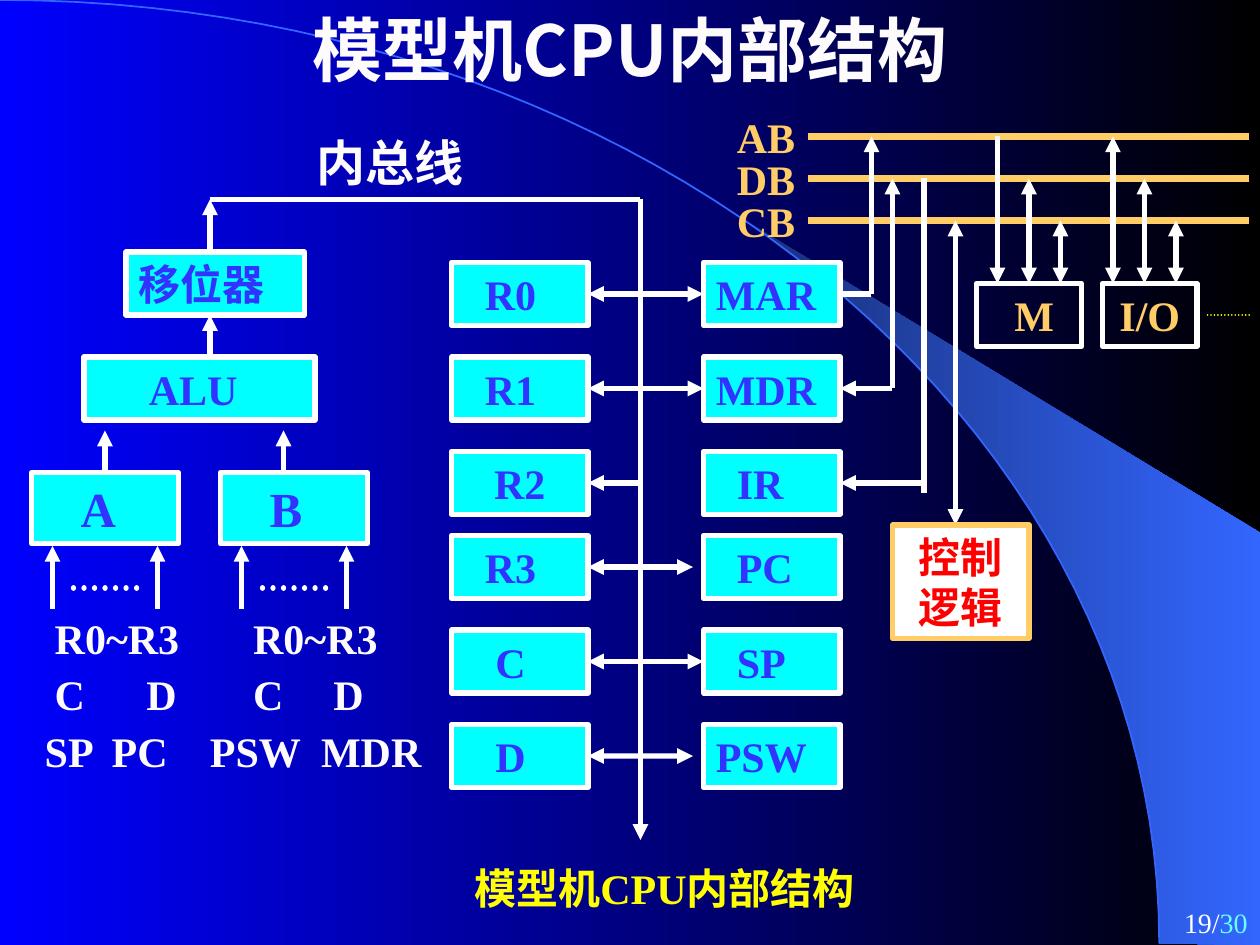
from dataclasses import dataclass
from lxml.etree import SubElement
from pptx import Presentation
from pptx.dml.color import RGBColor
from pptx.enum.dml import MSO_LINE
from pptx.enum.shapes import MSO_CONNECTOR, MSO_SHAPE
from pptx.enum.text import MSO_ANCHOR, MSO_AUTO_SIZE, PP_ALIGN
from pptx.oxml.ns import qn
from pptx.util import Cm, Pt


@dataclass(frozen=True)
class Theme:
    latin: str = "Times New Roman"
    cjk: str = "Noto Sans CJK SC"
    blue: str = "0000FF"
    black: str = "000000"
    navy: str = "182F76"
    sky: str = "3366FF"
    white: str = "FFFFFF"
    light: str = "FDFBFB"
    cyan: str = "00FFFF"
    ink: str = "3333FF"
    amber: str = "FFCC66"
    red: str = "FF0000"
    yellow: str = "FFFF00"
    aqua: str = "66FFFF"
    title: int = 40
    large: int = 28
    normal: int = 24
    small: int = 16
    thin: float = 1
    line: float = 3
    bus: float = 4.5


T = Theme()
ROWS = [0, 9, 18, 26, 35, 44]
BUSES = {"AB": 0, "DB": 4, "CB": 8}


def u(n):
    return Cm(n * 2.54 / 12)


def rgb(value):
    return RGBColor.from_string(value)


def style(r, size, color, bold=True, latin=T.latin):
    r.font.size, r.font.bold, r.font.name = Pt(size), bold, latin
    r.font.color.rgb = rgb(color)
    SubElement(r._r.get_or_add_rPr(), qn("a:ea"), typeface=T.cjk)


def write(tf, text, size, color, align=PP_ALIGN.LEFT, indent=0, latin=T.latin):
    tf.text = text
    tf.word_wrap = True
    p = tf.paragraphs[0]
    p.alignment = align
    p._p.get_or_add_pPr().set("marL", str(Pt(indent)))
    style(p.runs[0], size, color, latin=latin)


def label(s, x, y, w, h, text, size, color):
    tb = s.shapes.add_textbox(u(x), u(y), u(w), u(h))
    write(tb.text_frame, text, size, color)
    return tb


def block(s, x, y, w, h, text, color=T.ink, fill=T.cyan, border=T.white,
          size=T.normal, align=PP_ALIGN.LEFT, indent=0):
    sp = s.shapes.add_shape(MSO_SHAPE.RECTANGLE, u(x), u(y), u(w), u(h))
    sp.shadow.inherit = False
    if fill:
        sp.fill.solid()
        sp.fill.fore_color.rgb = rgb(fill)
    else:
        sp.fill.background()
    sp.line.color.rgb, sp.line.width = rgb(border), Pt(T.line)
    sp.text_frame.vertical_anchor = MSO_ANCHOR.TOP
    write(sp.text_frame, text, size, color, align, indent)
    return sp


def wire(s, x1, y1, x2, y2, ends="", color=T.white, width=T.line,
         dotted=False, begin=None, end=None):
    c = s.shapes.add_connector(MSO_CONNECTOR.STRAIGHT, u(x1), u(y1), u(x2), u(y2))
    if begin:
        c.begin_connect(*begin)
    if end:
        c.end_connect(*end)
    c.line.color.rgb, c.line.width = rgb(color), Pt(width)
    ln = c.line._get_or_add_ln()
    if dotted:
        c.line.dash_style = MSO_LINE.ROUND_DOT
        ln.set("cap", "rnd")
    for side in ends.split():
        SubElement(ln, qn(f"a:{side}End"), type="triangle")
    SubElement(c._element.spPr, qn("a:effectLst"))


def gradient(fill, first, last):
    fill.gradient()
    fill.gradient_angle = 0
    for stop, color in zip(fill.gradient_stops, (first, last)):
        stop.color.rgb = rgb(color)


def outline(s, points, close):
    fb = s.shapes.build_freeform(*points[0], scale=1.0)
    fb.add_line_segments(points[1:], close=close)
    sp = fb.convert_to_shape()
    sp.shadow.inherit = False
    return sp


def backdrop(s, w, h):
    gradient(s.background.fill, T.blue, T.black)
    controls = [(0, 0), (12.9, 0), (23.37, 8.51), (23.37, 19.02)]
    arc = []
    for i in range(51):
        t = i / 50
        weights = ((1 - t) ** 3, 3 * t * (1 - t) ** 2, 3 * t * t * (1 - t), t ** 3)
        arc.append(tuple(Cm(sum(k * c[axis] for k, c in zip(weights, controls)))
                         for axis in (0, 1)))
    crescent = outline(s, arc[22:] + [(w, h), (w, Cm(10.74))], True)
    gradient(crescent.fill, T.navy, T.sky)
    crescent.line.fill.background()
    edge = outline(s, arc, False)
    edge.fill.background()
    edge.line.color.rgb, edge.line.width = rgb(T.sky), Pt(T.thin)


def heading(s, w):
    sp = s.shapes.title
    sp.left, sp.top, sp.width, sp.height = 0, 0, w, Cm(1.96)
    tf = sp.text_frame
    tf.auto_size = MSO_AUTO_SIZE.NONE
    tf.vertical_anchor = MSO_ANCHOR.MIDDLE
    write(tf, "模型机CPU内部结构", T.title, T.light, PP_ALIGN.CENTER, latin=T.cjk)
    sp._element.getparent().append(sp._element)


def sources(s, x, y):
    tb = s.shapes.add_textbox(u(x), u(y), u(40), u(14.9))
    lines = [("R0~R3\tR0~R3", 0.2, [4]),
             ("C\tD\tC\tD", 0.2, [1.85, 4, 5.62]),
             ("SP\tPC\tPSW\tMDR", 0, [1.35, 3.33, 5.57])]
    tf = tb.text_frame
    tf.text = "\n".join(text for text, _, _ in lines)
    tf.word_wrap = True
    for i, (p, (_, indent, stops)) in enumerate(zip(tf.paragraphs, lines)):
        pPr = p._p.get_or_add_pPr()
        pPr.set("marL", str(Cm(indent)))
        tabs = SubElement(pPr, qn("a:tabLst"))
        for stop in stops:
            SubElement(tabs, qn("a:tab"), pos=str(Cm(stop)), algn="l")
        p.line_spacing = 0.6
        if i:
            p.space_before = Pt(15)
        for r in p.runs:
            style(r, T.normal, T.light)


def arithmetic_unit(s, x, y):
    sources(s, x + 0.08, y + 40.4)
    block(s, x + 9, y + 5, 17, 6, "移位器")
    block(s, x + 5, y + 15, 22, 6, "ALU", indent=30)
    for top, bottom in ((0, 5), (11, 15)):
        wire(s, x + 17, y + bottom, x + 17, y + top, "tail")
    for name, left, out in (("A", x, 7), ("B", x + 18, 6)):
        latch = block(s, left, y + 26, 14, 6.8, name, size=T.large, indent=21)
        wire(s, left + out, y + 26, left + out, y + 22, "tail",
             begin=(latch, 0) if out == 7 else None)
        for dx in (2, 12):
            wire(s, left + dx, y + 39, left + dx, y + 33, "tail")
        wire(s, left + 4, y + 37, left + 11, y + 37, dotted=True)


def registers(s, x, y):
    bus = x + 18
    label(s, x - 14, y - 13, 21, 6.8, "内总线", T.large, T.light)
    wire(s, x - 23, y - 6, bus, y - 6)
    wire(s, bus, y - 6, bus, y + 55, "tail")
    left = [("R0", 12), ("R1", 12), ("R2", None), ("R3", 12), ("C", 18), ("D", 18)]
    right = [("MAR", 0), ("MDR", 0), ("IR", 12), ("PC", 12), ("SP", 12), ("PSW", 0)]
    special = {}
    for dy, (a, a_in), (b, b_in) in zip(ROWS, left, right):
        align = PP_ALIGN.CENTER if a_in is None else PP_ALIGN.LEFT
        general = block(s, x, y + dy, 13, 6, a, align=align, indent=a_in or 0)
        special[b] = block(s, x + 24, y + dy, 13, 6, b, indent=b_in)
        mid = y + dy + 3
        start = {"IR": bus, "PC": x + 23, "PSW": x + 23}.get(b, x + 24)
        wire(s, start, mid, x + 13, mid, "tail" if b == "IR" else "head tail",
             begin=(special[b], 1) if start == x + 24 else None, end=(general, 3))
    return special


def system_bus(s, x, y, special):
    for name, dy in BUSES.items():
        label(s, x, y + dy - 3, 11, 6, name, T.normal, T.amber)
        wire(s, x + 8, y + dy, x + 50, y + dy, color=T.amber, width=T.bus)

    wire(s, x + 11, y + 15, x + 14, y + 15, begin=(special["MAR"], 3))
    wire(s, x + 14, y + 15, x + 14, y, "tail")
    wire(s, x + 16, y + 24, x + 11, y + 24, "tail", end=(special["MDR"], 3))
    wire(s, x + 16, y + 24, x + 16, y + 4, "tail")
    wire(s, x + 19, y + 4, x + 19, y + 34)
    wire(s, x + 19, y + 33, x + 11, y + 33, "tail", end=(special["IR"], 3))

    for name, left, width, first, indent in (("M", 24, 10, 26, 6), ("I/O", 36, 9, 37, 0)):
        device = block(s, x + left, y + 14, width, 6, name, T.amber, None,
                       align=PP_ALIGN.CENTER, indent=indent)
        for i, dy in enumerate(BUSES.values()):
            at = first + 3 * i
            joined = at == left + width / 2
            ends = "tail" if name == "M" and i == 0 else "head tail"
            wire(s, x + at, y + dy, x + at, y + 14, ends,
                 end=(device, 0) if joined else None)
    wire(s, x + 46, y + 17, x + 50, y + 17, color=T.yellow, width=T.thin, dotted=True)

    wire(s, x + 22, y + 8, x + 22, y + 37, "head tail")
    block(s, x + 16, y + 37, 13, 10.8, "控制逻辑", T.red, T.white, T.amber,
          align=PP_ALIGN.CENTER)


def footer(s, x, y):
    tb = label(s, x, y, 40.5, 6, "模型机CPU内部结构", T.normal, T.yellow)
    tb.text_frame.word_wrap = False
    tb = label(s, x + 51, y + 4.1, 25, 4.3, "19/", T.small, T.white)
    p = tb.text_frame.paragraphs[0]
    p.alignment = PP_ALIGN.RIGHT
    p.runs[0].font.bold = False
    r = p.add_run()
    r.text = "30"
    style(r, T.small, T.aqua, bold=False)


def main():
    prs = Presentation()
    prs.slide_width, prs.slide_height = Cm(25.4), Cm(19.05)
    s = prs.slides.add_slide(prs.slide_layouts[5])
    backdrop(s, prs.slide_width, prs.slide_height)
    heading(s, prs.slide_width)
    arithmetic_unit(s, 3, 19)
    special = registers(s, 43, 25)
    system_bus(s, 69, 13, special)
    footer(s, 44, 81.6)
    prs.save("out.pptx")


if __name__ == "__main__":
    main()
